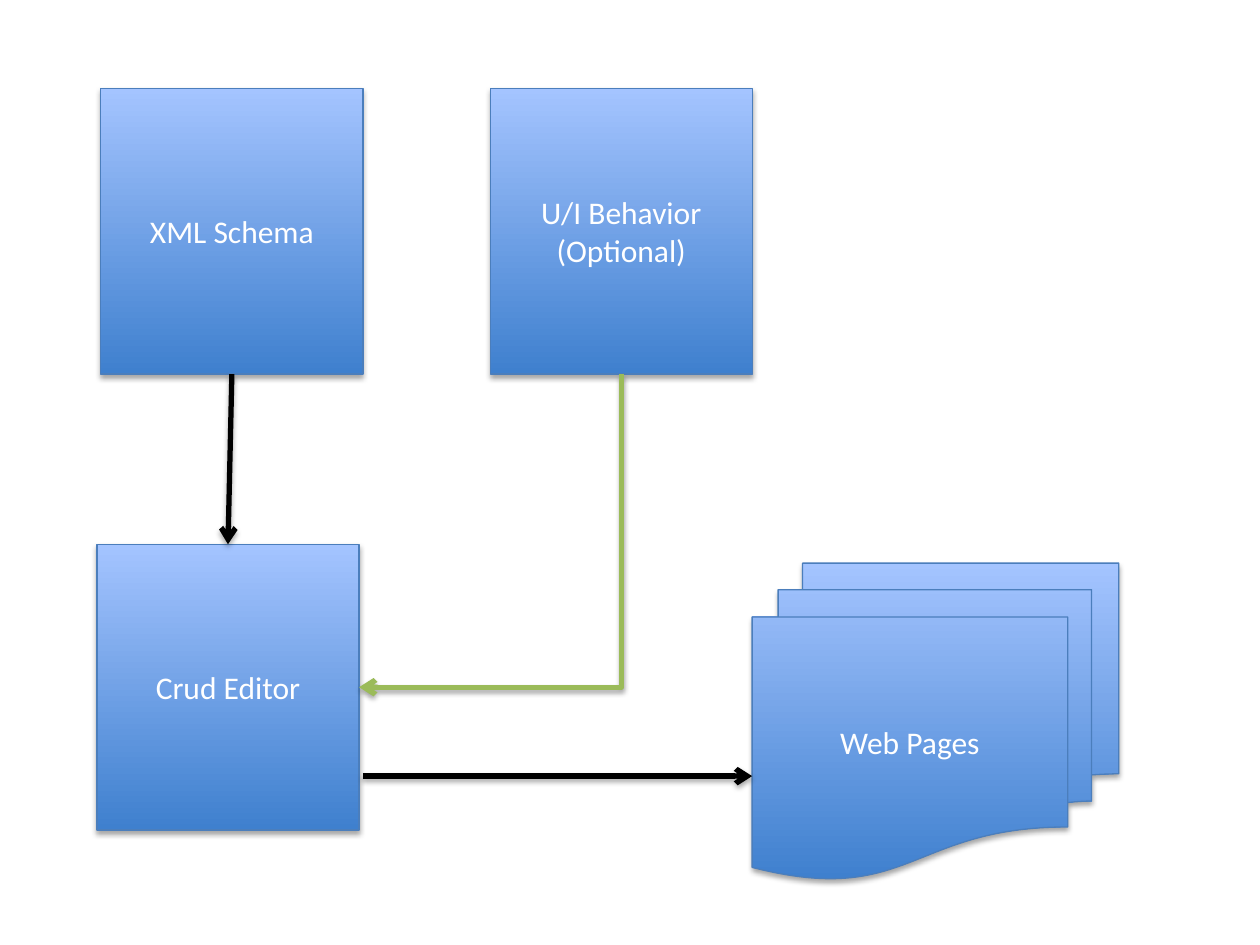
from dataclasses import dataclass

from lxml import etree
from pptx import Presentation
from pptx import util as u
from pptx.dml.color import RGBColor
from pptx.enum import shapes, text
from pptx.oxml.ns import qn

COLORS = {
    "bottom": "3F80CE",
    "top": "A4C4FF",
    "outline": "4B7EBC",
    "text": "FFFFFF",
    "flow": "000000",
    "optional": "9BBB59",
    "shadow": "000000",
}
FONT = "Calibri"
BOX_W, BOX_H = 149.8, 163.4
TOP = 50.4
RECT = shapes.MSO_SHAPE.RECTANGLE
PAGES = shapes.MSO_SHAPE.FLOWCHART_MULTIDOCUMENT


@dataclass
class Node:
    label: str
    left: float
    top: float
    width: float = BOX_W
    height: float = BOX_H
    kind: shapes.MSO_SHAPE = RECT

    @property
    def center(self) -> float:
        return self.left + self.width / 2

    @property
    def bottom(self) -> float:
        return self.top + self.height

    @property
    def right(self) -> float:
        return self.left + self.width


@dataclass
class Arrow:
    x1: float
    y1: float
    x2: float
    y2: float
    color: str = "flow"
    bent: bool = False


def rgb(name: str) -> RGBColor:
    return RGBColor.from_string(COLORS[name])


def add_shadow(spPr) -> None:
    effects = spPr.find(qn("a:effectLst"))
    if effects is None:
        effects = etree.SubElement(spPr, qn("a:effectLst"))
    shadow = etree.SubElement(
        effects, qn("a:outerShdw"), blurRad=str(u.Pt(3.1)), dist=str(u.Pt(1.8)),
        dir="5400000", rotWithShape="0")
    color = etree.SubElement(shadow, qn("a:srgbClr"), val=COLORS["shadow"])
    etree.SubElement(color, qn("a:alpha"), val="35000")


def add_node(s, node: Node) -> None:
    sp = s.shapes.add_shape(node.kind, u.Pt(node.left), u.Pt(node.top),
                            u.Pt(node.width), u.Pt(node.height))
    sp.fill.gradient()
    sp.fill.gradient_angle = 90
    for stop, name, position in zip(sp.fill.gradient_stops, ("bottom", "top"), (0, 1)):
        stop.color.rgb = rgb(name)
        stop.position = position
    sp.line.color.rgb = rgb("outline")
    sp.line.width = u.Pt(0.75)
    sp.shadow.inherit = False
    add_shadow(sp._element.spPr)
    tf = sp.text_frame
    tf.text = node.label
    tf.vertical_anchor = text.MSO_ANCHOR.MIDDLE
    for p in tf.paragraphs:
        p.alignment = text.PP_ALIGN.CENTER
        for r in p.runs:
            r.font.name = FONT
            r.font.size = u.Pt(18)
            r.font.color.rgb = rgb("text")


def add_arrow(s, arrow: Arrow) -> None:
    x1, y1, x2, y2 = arrow.x1, arrow.y1, arrow.x2, arrow.y2
    kind = shapes.MSO_CONNECTOR.STRAIGHT
    if arrow.bent:
        kind = shapes.MSO_CONNECTOR.ELBOW
        cx, cy = (x1 + x2) / 2, (y1 + y2) / 2
        half_w, half_h = abs(y2 - y1) / 2, abs(x2 - x1) / 2
        x1, y1, x2, y2 = cx - half_w, cy - half_h, cx + half_w, cy + half_h
    sp = s.shapes.add_connector(kind, u.Pt(x1), u.Pt(y1), u.Pt(x2), u.Pt(y2))
    spPr = sp._element.spPr
    if arrow.bent:
        spPr.find(qn("a:xfrm")).set("rot", "5400000")
        spPr.find(qn("a:prstGeom")).set("prst", "bentConnector2")
    sp.line.color.rgb = rgb(arrow.color)
    sp.line.width = u.Pt(3)
    etree.SubElement(spPr.find(qn("a:ln")), qn("a:tailEnd"), type="arrow")
    add_shadow(spPr)


def main() -> None:
    prs = Presentation()
    prs.slide_width, prs.slide_height = u.Pt(720), u.Pt(540)
    s = prs.slides.add_slide(prs.slide_layouts[6])

    schema = Node("XML Schema", 57.6, TOP)
    editor = Node("Crud Editor", 55.4, 311)
    behavior = Node("U/I Behavior\n(Optional)", 280.1, TOP)
    pages = Node("Web Pages", 429.8, 321.8, 209.5, 180.7, PAGES)
    output_y = 443.5

    for node in (schema, editor, behavior):
        add_node(s, node)
    add_arrow(s, Arrow(schema.center, schema.bottom, editor.center, editor.top))
    add_arrow(s, Arrow(behavior.center, behavior.bottom, editor.right,
                       editor.top + BOX_H / 2, "optional", True))
    add_node(s, pages)
    add_arrow(s, Arrow(schema.right, output_y, pages.left, output_y))

    prs.save("out.pptx")


main()
